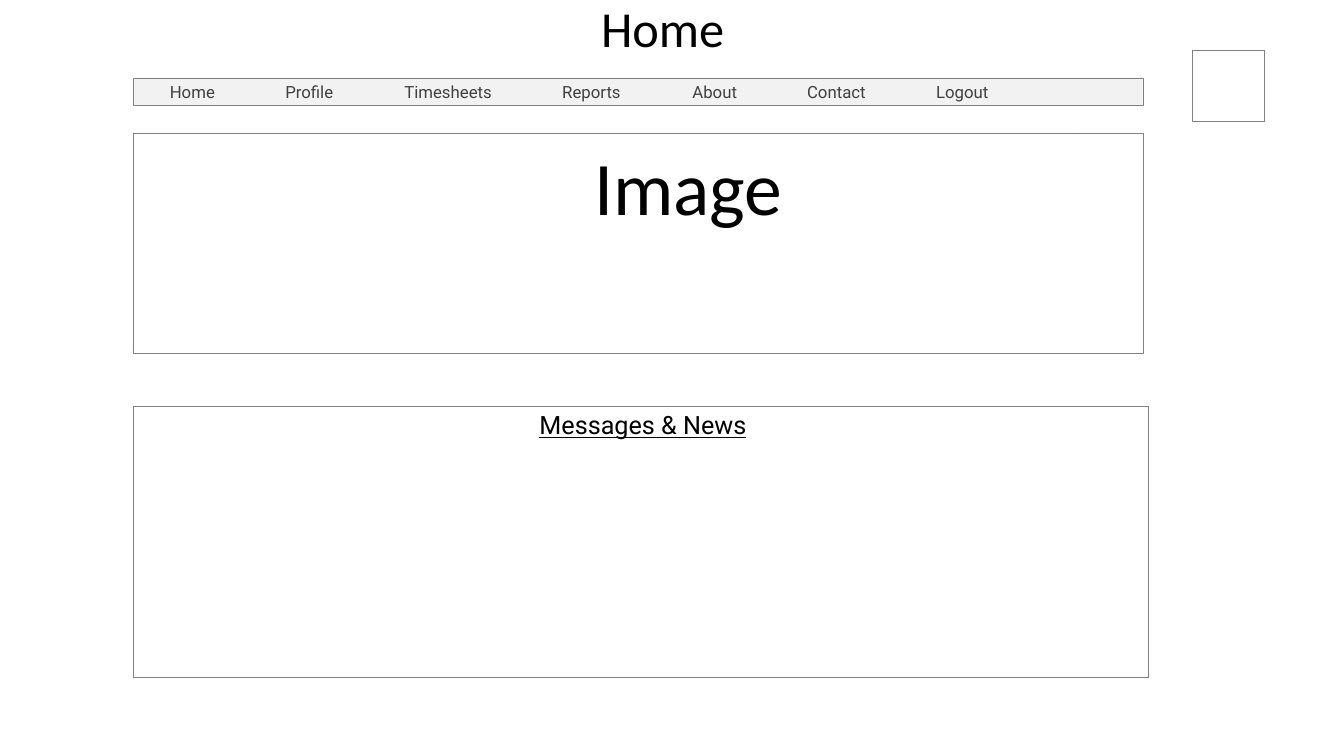
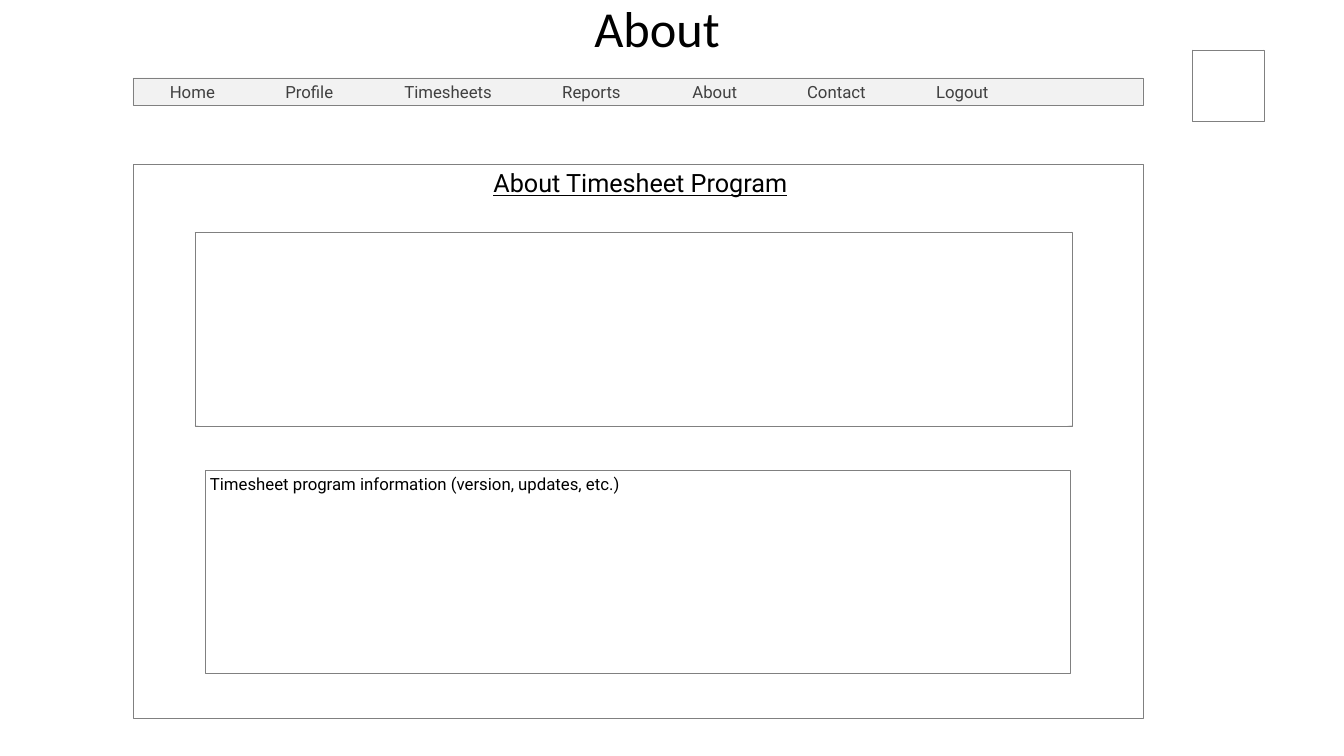
from dataclasses import dataclass

from lxml import etree
from pptx import Presentation
from pptx.dml.color import RGBColor
from pptx.enum.shapes import MSO_CONNECTOR, MSO_SHAPE
from pptx.enum.text import MSO_ANCHOR, MSO_AUTO_SIZE, PP_ALIGN
from pptx.oxml.ns import qn
from pptx.util import Cm, Pt

RECT = MSO_SHAPE.RECTANGLE
LINE = MSO_CONNECTOR.STRAIGHT
LEFT, MID = PP_ALIGN.LEFT, PP_ALIGN.CENTER
TOP, CENTER, BASE = MSO_ANCHOR.TOP, MSO_ANCHOR.MIDDLE, MSO_ANCHOR.BOTTOM
FIXED = MSO_AUTO_SIZE.NONE


@dataclass(frozen=True)
class Theme:
    ink: RGBColor = RGBColor(0, 0, 0)
    soft: RGBColor = RGBColor(0x40, 0x40, 0x40)
    edge: RGBColor = RGBColor(0x80, 0x80, 0x80)
    bar: RGBColor = RGBColor(0xF2, 0xF2, 0xF2)
    paper: RGBColor = RGBColor(0xFF, 0xFF, 0xFF)
    head: str = "Calibri"
    body: str = "Roboto"
    huge: int = 54
    title: int = 36
    label: int = 18
    text: int = 12
    hair: float = 0.25


SIDE, WIDE = 3.35, 25.45
BAR = (SIDE, 1.96, WIDE, 0.69)
LOGO = (30.05, 1.26, 1.8, 1.8)
MENU = (
    ("Home", 0.8), ("Profile", 3.71), ("Timesheets", 6.71),
    ("Reports", 10.69), ("About", 13.97), ("Contact", 16.86),
    ("Logout", 20.11),
)


class Frame:
    def __init__(self, deck, theme):
        self.deck, self.theme = deck, theme
        self.slide = None

    def page(self, name, center):
        self.slide = self.deck.slides.add_slide(self.deck.slide_layouts[5])
        title = self.slide.shapes.title
        self.place(title, (center - 2.5, -0.2, 5, 1.8))
        para = self.setup(title, (0.25, 0.13, 0.25, 0.13), TOP, MID)
        self.run(para, name, self.theme.title, self.theme.head)
        self.menu()
        self.cross(LOGO)

    def place(self, shape, area):
        shape.left, shape.top, shape.width, shape.height = map(Cm, area)

    def setup(self, shape, pad, anchor, align):
        frame = shape.text_frame
        frame.auto_size = FIXED
        frame.word_wrap = True
        frame.vertical_anchor = anchor
        (frame.margin_left, frame.margin_top,
         frame.margin_right, frame.margin_bottom) = map(Cm, pad)
        para = frame.paragraphs[0]
        para.alignment = align
        return para

    def run(self, para, text, size, face, color=None, under=None):
        run = para.add_run()
        run.text = text
        font = run.font
        font.name, font.size, font.underline = face, Pt(size), under
        font.color.rgb = color or self.theme.ink

    def stroke(self, shape):
        shape.line.color.rgb = self.theme.edge
        shape.line.width = Pt(self.theme.hair)

    def box(self, area, fill=None, home=None):
        home = home or self.slide.shapes
        shape = home.add_shape(RECT, *map(Cm, area))
        shape.shadow.inherit = False
        shape.fill.solid()
        shape.fill.fore_color.rgb = fill or self.theme.paper
        self.stroke(shape)
        return shape

    def line(self, home, ends):
        line = home.add_connector(LINE, *map(Cm, ends))
        self.stroke(line)
        etree.SubElement(line._element.spPr, qn("a:effectLst"))

    def cross(self, area, rise=None):
        x, y, w, h = area
        home = self.slide.shapes.add_group_shape().shapes
        self.box(area, home=home)
        self.line(home, (x, y, x + w, y + h))
        self.line(home, rise or (x, y + h, x + w, y))

    def menu(self):
        bar = self.box(BAR, self.theme.bar)
        para = self.setup(bar, (0.13, 0.13, 0.25, 0.13), CENTER, LEFT)
        tabs = etree.SubElement(para._p.get_or_add_pPr(), qn("a:tabLst"))
        for name, stop in MENU:
            etree.SubElement(tabs, qn("a:tab"), pos=str(Cm(stop)), algn="l")
            self.run(para, "\t" + name, self.theme.text, self.theme.body,
                     self.theme.soft)

    def panel(self, area, text, size, align=LEFT, under=None):
        para = self.setup(self.box(area), (0.13, 0.08, 0, 0), TOP, align)
        self.run(para, text, size, self.theme.body, under=under)

    def banner(self, area, text):
        shape = self.slide.shapes.add_textbox(*map(Cm, area))
        para = self.setup(shape, (0.25, 0.13, 0.25, 0.13), BASE, MID)
        para.line_spacing = 0.9
        self.run(para, text, self.theme.huge, self.theme.head)


def home(frame):
    frame.page("Home", 16.7)
    frame.cross((SIDE, 3.35, WIDE, 5.56), (SIDE, 8.84, 27.13, 3.35))
    frame.banner((5.77, 3.5, 23.16, 2.46), "Image")
    frame.panel((SIDE, 10.24, 25.58, 6.83), "Messages & News",
                frame.theme.label, MID, True)


def about(frame):
    frame.page("About", 16.56)
    frame.panel((SIDE, 4.14, WIDE, 13.97), "About Timesheet Program",
                frame.theme.label, MID, True)
    frame.cross((4.91, 5.85, 22.1, 4.88))
    frame.panel((5.16, 11.86, 21.82, 5.11),
                "Timesheet program information (version, updates, etc.)",
                frame.theme.text)


def main():
    deck = Presentation()
    deck.slide_width, deck.slide_height = Cm(33.87), Cm(19.05)
    frame = Frame(deck, Theme())
    home(frame)
    about(frame)
    deck.save("out.pptx")


if __name__ == "__main__":
    main()
